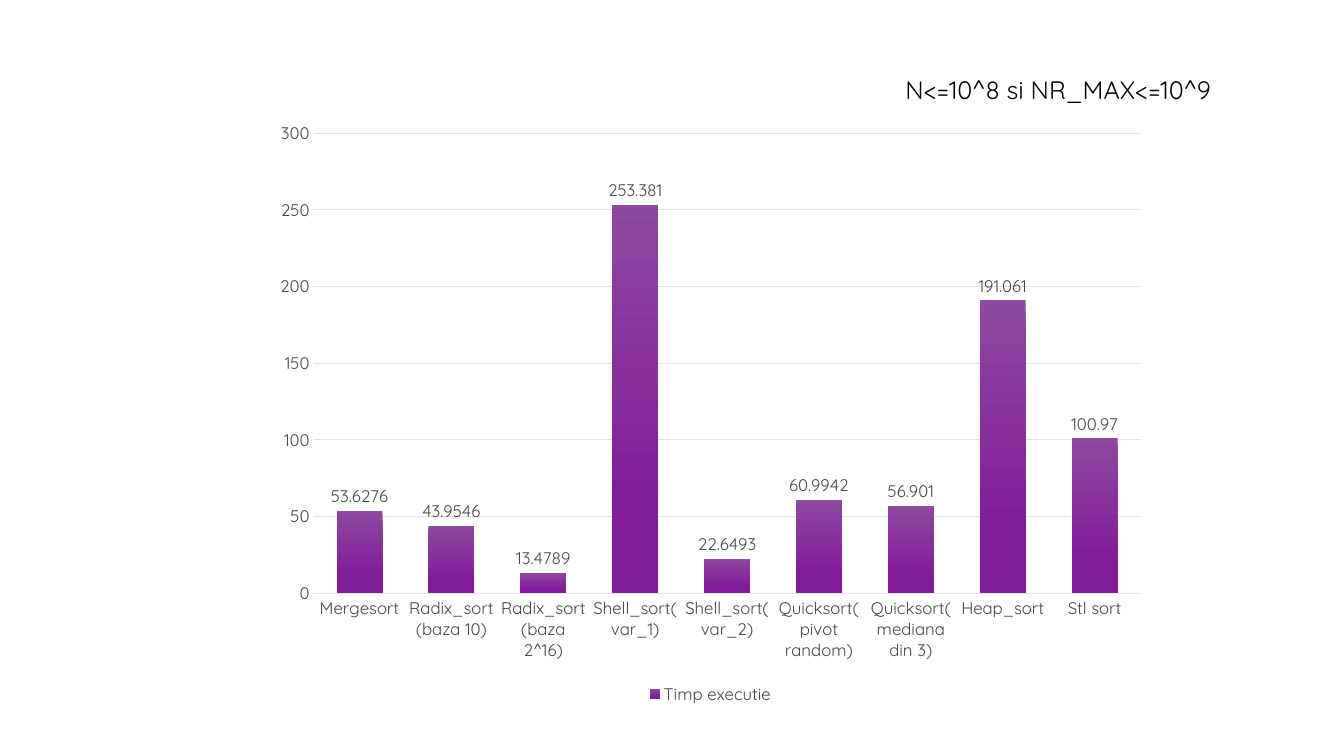
from dataclasses import dataclass

from pptx import Presentation
from pptx.chart.data import CategoryChartData
from pptx.dml.color import RGBColor
from pptx.enum.chart import XL_CHART_TYPE, XL_LABEL_POSITION, XL_LEGEND_POSITION, XL_TICK_MARK
from pptx.enum.text import MSO_ANCHOR, PP_ALIGN
from pptx.util import Inches, Pt

COLUMN_CLUSTERED = XL_CHART_TYPE.COLUMN_CLUSTERED
LABEL_ABOVE = XL_LABEL_POSITION.OUTSIDE_END
LEGEND_BELOW = XL_LEGEND_POSITION.BOTTOM
NO_TICK = XL_TICK_MARK.NONE
TOP = MSO_ANCHOR.TOP
LEFT = PP_ALIGN.LEFT

BLACK = RGBColor(0x00, 0x00, 0x00)
GREY_TEXT = RGBColor(0x45, 0x45, 0x45)
GREY_LINE = RGBColor(0xE3, 0xE3, 0xE3)
LIGHT_PURPLE = RGBColor(0x8D, 0x48, 0xA0)
DEEP_PURPLE = RGBColor(0x83, 0x1C, 0x9A)

FONT = "Quicksand"
SLIDE_WIDTH = Inches(13.33)
SLIDE_HEIGHT = Inches(7.5)
TITLE_ONLY_LAYOUT = 5


@dataclass(frozen=True)
class Area:
    left: float
    top: float
    width: float
    height: float

    def lengths(self) -> tuple[int, int, int, int]:
        return (
            round(self.left * SLIDE_WIDTH),
            round(self.top * SLIDE_HEIGHT),
            round(self.width * SLIDE_WIDTH),
            round(self.height * SLIDE_HEIGHT),
        )


@dataclass(frozen=True)
class Timing:
    algorithm: str
    duration: float


TITLE_AREA = Area(8.88 / 13.33, 0.69 / 7.5, 3.95 / 13.33, 0.4 / 7.5)
CHART_AREA = Area(2.6 / 13.33, 1.1 / 7.5, 8.89 / 13.33, 5.93 / 7.5)

TIMINGS = [
    Timing("Mergesort", 53.6276),
    Timing("Radix_sort(baza 10)", 43.9546),
    Timing("Radix_sort(baza 2^16)", 13.4789),
    Timing("Shell_sort(var_1)", 253.381),
    Timing("Shell_sort(var_2)", 22.6493),
    Timing("Quicksort(pivot random)", 60.9942),
    Timing("Quicksort(mediana din 3)", 56.901),
    Timing("Heap_sort", 191.061),
    Timing("Stl sort", 100.97),
]


def format_font(font, *, size: float = 12, color: RGBColor = GREY_TEXT) -> None:
    font.name = FONT
    font.size = Pt(size)
    font.bold = False
    font.color.rgb = color


def write_text(box, text: str, *, size: float, color: RGBColor) -> None:
    frame = box.text_frame
    frame.word_wrap = True
    frame.vertical_anchor = TOP
    para = frame.paragraphs[0]
    para.alignment = LEFT
    span = para.add_run()
    span.text = text
    format_font(span.font, size=size, color=color)


def format_line(line) -> None:
    line.color.rgb = GREY_LINE
    line.width = Pt(0.75)


def format_axes(chart) -> None:
    for axis in (chart.category_axis, chart.value_axis):
        axis.major_tick_mark = NO_TICK
        axis.minor_tick_mark = NO_TICK
        format_font(axis.tick_labels.font)
    format_line(chart.category_axis.format.line)
    values = chart.value_axis
    values.minimum_scale = 0
    values.maximum_scale = 300
    values.major_unit = 50
    values.format.line.fill.background()
    values.has_major_gridlines = True
    format_line(values.major_gridlines.format.line)


def format_columns(plot) -> None:
    plot.gap_width = 100
    plot.overlap = -24
    plot.vary_by_categories = False
    fill = plot.series[0].format.fill
    fill.gradient()
    fill.gradient_angle = 270
    stops = ((0, LIGHT_PURPLE), (0.78, DEEP_PURPLE))
    for stop, (position, color) in zip(fill.gradient_stops, stops):
        stop.position = position
        stop.color.rgb = color
    plot.has_data_labels = True
    labels = plot.data_labels
    labels.show_value = True
    labels.position = LABEL_ABOVE
    format_font(labels.font)


def add_timing_chart(page, timings: list[Timing], area: Area) -> None:
    data = CategoryChartData()
    data.categories = [timing.algorithm for timing in timings]
    data.add_series("Timp executie", [timing.duration for timing in timings])
    chart = page.shapes.add_chart(COLUMN_CLUSTERED, *area.lengths(), data).chart
    chart.has_title = False
    format_font(chart.font, size=10, color=BLACK)
    format_axes(chart)
    format_columns(chart.plots[0])
    chart.has_legend = True
    chart.legend.position = LEGEND_BELOW
    chart.legend.include_in_layout = False
    format_font(chart.legend.font)


def main() -> None:
    deck = Presentation()
    deck.slide_width = SLIDE_WIDTH
    deck.slide_height = SLIDE_HEIGHT
    page = deck.slides.add_slide(deck.slide_layouts[TITLE_ONLY_LAYOUT])
    add_timing_chart(page, TIMINGS, CHART_AREA)
    title = page.shapes.title
    title.left, title.top, title.width, title.height = TITLE_AREA.lengths()
    write_text(title, "N<=10^8 si NR_MAX<=10^9", size=18, color=BLACK)
    deck.save("out.pptx")


if __name__ == "__main__":
    main()
